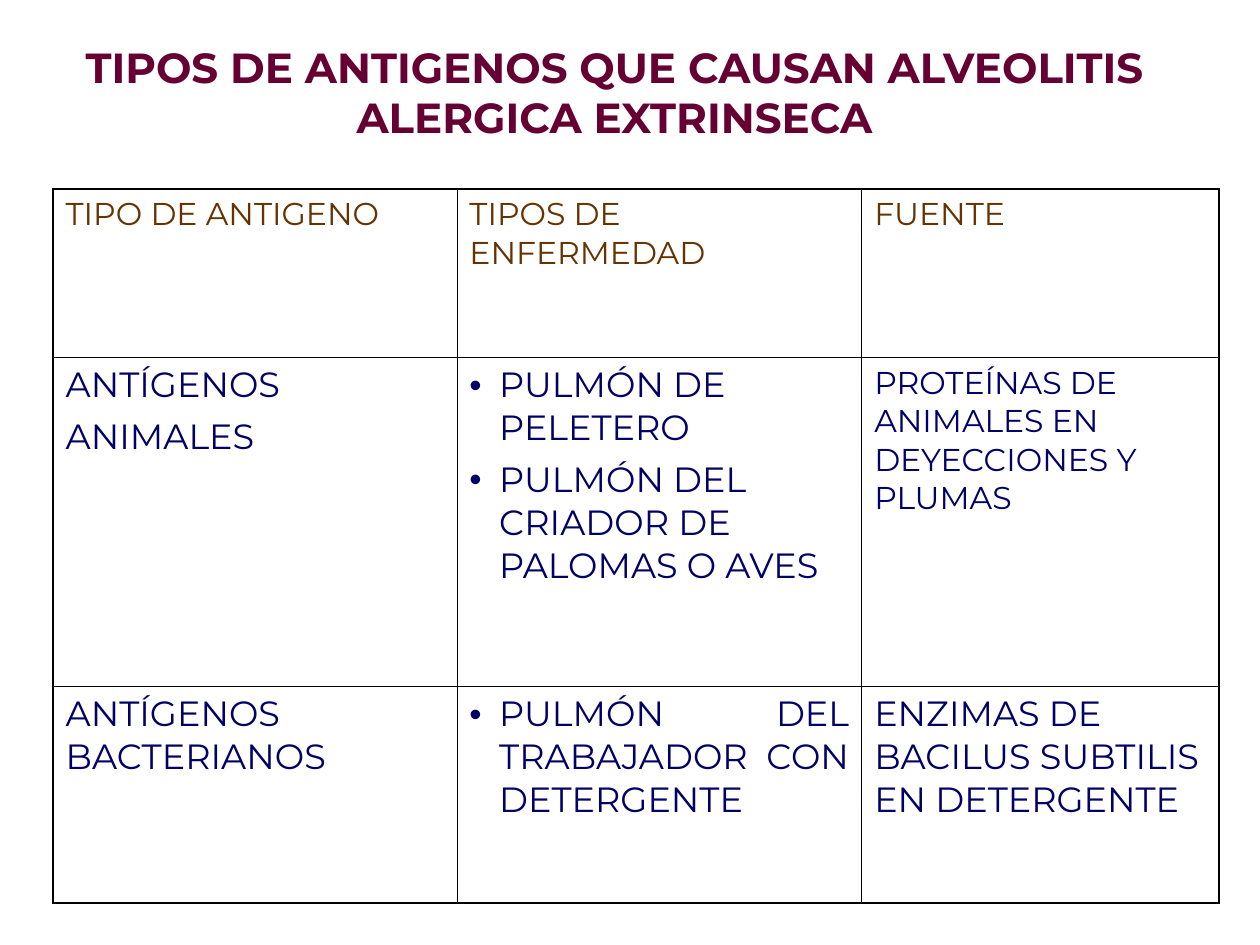
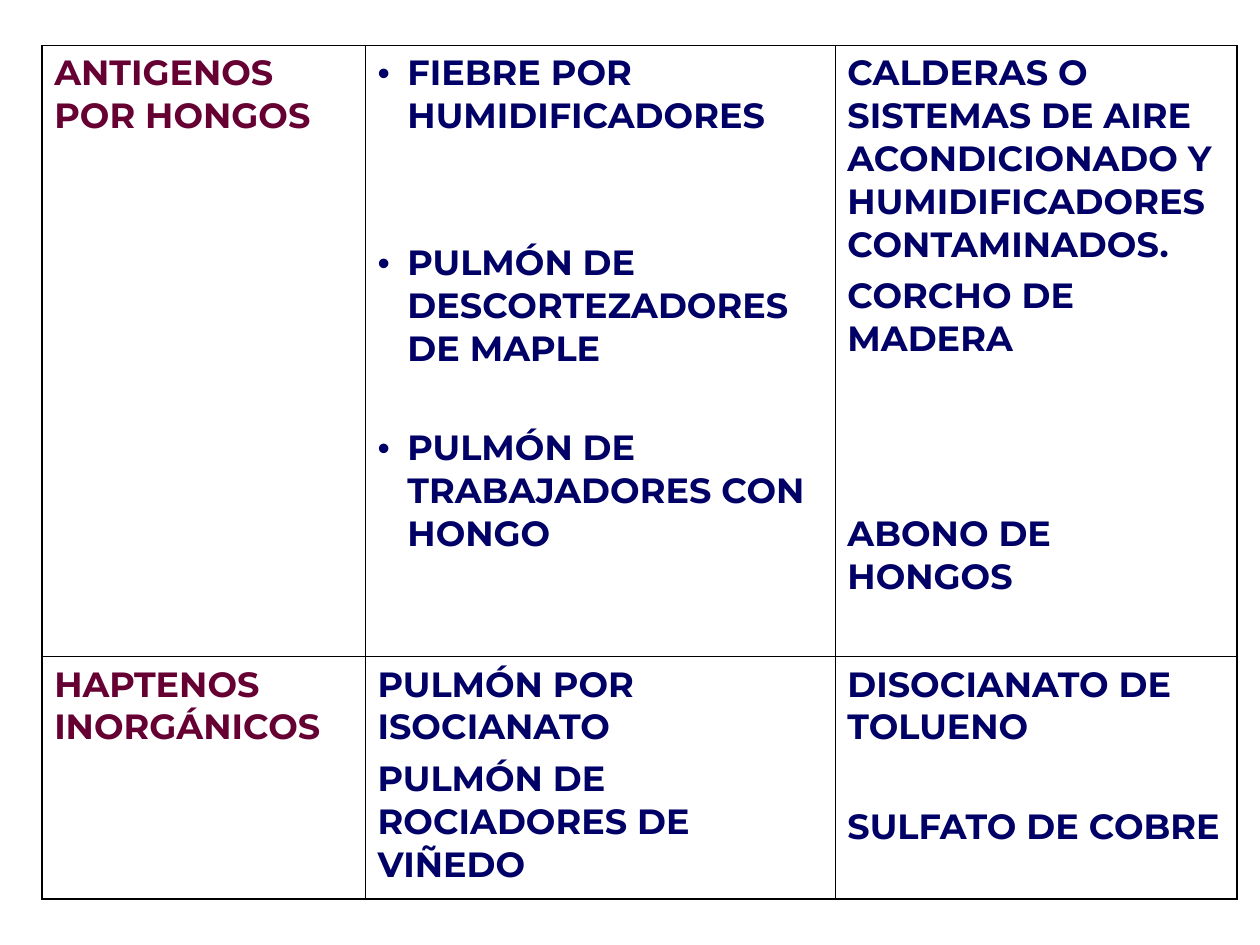
from dataclasses import dataclass

from lxml import etree
from pptx import Presentation
from pptx.dml.color import RGBColor
from pptx.enum import text
from pptx.oxml import ns
from pptx.util import Cm, Pt

FONT = "Montserrat"
PLUM = RGBColor(0x66, 0x00, 0x33)
BROWN = RGBColor(0x66, 0x33, 0x00)
NAVY = RGBColor(0x00, 0x00, 0x66)
BLACK = RGBColor(0x00, 0x00, 0x00)
OUTER_LINE = Pt(1.08)
INNER_LINE = Pt(0.45)
BULLET_INDENT = Cm(0.6)
SKIPPED_LINE = 27.2


@dataclass
class Entry:
    words: str
    bullet: bool = False
    skipped: int = 0
    size: int = 20
    color: RGBColor = NAVY
    justified: bool = False


def heading(words):
    return [Entry(words, size=18, color=BROWN)]


def group(words):
    return [Entry(words, color=PLUM)]


def add_child(parent, tag, **attributes):
    child = etree.SubElement(parent, ns.qn(tag))
    for name, value in attributes.items():
        child.set(name, str(value))
    return child


def set_font(para, size, color, bold):
    para.font.name = FONT
    para.font.size = Pt(size)
    para.font.color.rgb = color
    para.font.bold = bold


def add_bullet(para, color):
    properties = para._p.get_or_add_pPr()
    properties.set("marL", str(BULLET_INDENT))
    properties.set("indent", str(-BULLET_INDENT))
    add_child(add_child(properties, "a:buClr"), "a:srgbClr", val=color)
    add_child(properties, "a:buFont", typeface="Arial")
    add_child(properties, "a:buChar", char="•")


def set_borders(cell, outer_sides):
    properties = cell._tc.get_or_add_tcPr()
    for side in "LRTB":
        width = OUTER_LINE if side in outer_sides else INNER_LINE
        line = add_child(properties, f"a:ln{side}", w=width)
        fill = add_child(line, "a:solidFill")
        add_child(fill, "a:srgbClr", val=BLACK)


def fill_cell(cell, entries, bold):
    frame = cell.text_frame
    for index, entry in enumerate(entries):
        para = frame.add_paragraph() if index else frame.paragraphs[0]
        para.text = entry.words
        if index:
            para.space_before = Pt(entry.size / 4 + entry.skipped * SKIPPED_LINE)
        if entry.justified:
            para.alignment = text.PP_ALIGN.JUSTIFY
        if entry.bullet:
            add_bullet(para, entry.color)
        set_font(para, entry.size, entry.color, bold)


def add_grid(page, left, top, widths, heights, rows, bold=False):
    frame = page.shapes.add_table(len(heights), len(widths), Cm(left), Cm(top),
                                  Cm(sum(widths)), Cm(sum(heights)))
    table = frame.table
    table.first_row = table.horz_banding = False
    for column, width in zip(table.columns, widths):
        column.width = Cm(width)
    for row, height in zip(table.rows, heights):
        row.height = Cm(height)
    for r, row in enumerate(rows):
        for c, entries in enumerate(row):
            cell = table.cell(r, c)
            edges = {"L": c == 0, "R": c == len(widths) - 1,
                     "T": r == 0, "B": r == len(heights) - 1}
            set_borders(cell, [side for side, outer in edges.items() if outer])
            cell.fill.background()
            fill_cell(cell, entries, bold)


def add_title(page, words):
    box = page.shapes.add_textbox(Cm(0.69), Cm(0.71), Cm(23.39), Cm(2.29))
    box.text_frame.word_wrap = True
    para = box.text_frame.paragraphs[0]
    para.text = words
    para.alignment = text.PP_ALIGN.CENTER
    set_font(para, 24, PLUM, True)


def add_animal_and_bacterial_page(deck):
    page = deck.slides.add_slide(deck.slide_layouts[6])
    add_title(page, "TIPOS DE ANTIGENOS QUE CAUSAN ALVEOLITIS ALERGICA EXTRINSECA")
    rows = [
        [heading("TIPO DE ANTIGENO"), heading("TIPOS DE ENFERMEDAD"), heading("FUENTE")],
        [
            [Entry("ANTÍGENOS"), Entry("ANIMALES")],
            [Entry("PULMÓN DE PELETERO", bullet=True),
             Entry("PULMÓN DEL CRIADOR DE PALOMAS O AVES", bullet=True)],
            [Entry("PROTEÍNAS DE ANIMALES EN DEYECCIONES Y PLUMAS", size=18)],
        ],
        [
            [Entry("ANTÍGENOS BACTERIANOS")],
            [Entry("PULMÓN DEL TRABAJADOR CON DETERGENTE", bullet=True, justified=True)],
            [Entry("ENZIMAS DE BACILUS SUBTILIS EN DETERGENTE")],
        ],
    ]
    add_grid(page, 1.07, 3.81, [8.14, 8.16, 7.2], [3.4, 6.63, 4.37], rows)


def add_fungal_and_hapten_page(deck):
    page = deck.slides.add_slide(deck.slide_layouts[6])
    rows = [
        [
            group("ANTIGENOS POR HONGOS"),
            [Entry("FIEBRE POR HUMIDIFICADORES", bullet=True),
             Entry("PULMÓN DE DESCORTEZADORES DE MAPLE", bullet=True, skipped=2),
             Entry("PULMÓN DE TRABAJADORES CON HONGO", bullet=True, skipped=1)],
            [Entry("CALDERAS O SISTEMAS DE AIRE ACONDICIONADO Y "
                   "HUMIDIFICADORES CONTAMINADOS."),
             Entry("CORCHO DE MADERA"),
             Entry("ABONO DE HONGOS", skipped=3)],
        ],
        [
            group("HAPTENOS INORGÁNICOS"),
            [Entry("PULMÓN POR ISOCIANATO"), Entry("PULMÓN DE ROCIADORES DE VIÑEDO")],
            [Entry("DISOCIANATO DE TOLUENO"), Entry("SULFATO DE COBRE", skipped=1)],
        ],
    ]
    add_grid(page, 0.84, 0.92, [6.52, 9.47, 8.11], [12.32, 4.88], rows, bold=True)


def main():
    deck = Presentation()
    deck.slide_width, deck.slide_height = Cm(25.4), Cm(19.05)
    add_animal_and_bacterial_page(deck)
    add_fungal_and_hapten_page(deck)
    deck.save("out.pptx")


if __name__ == "__main__":
    main()
